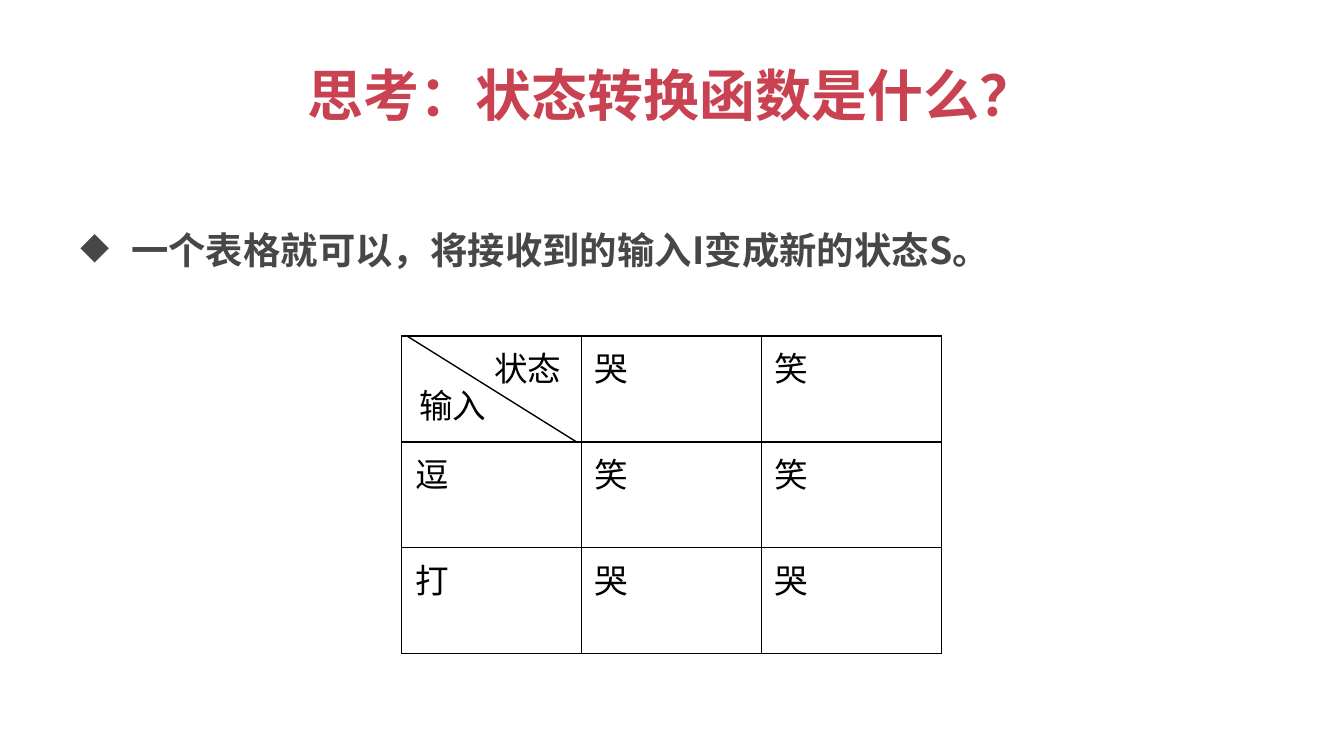
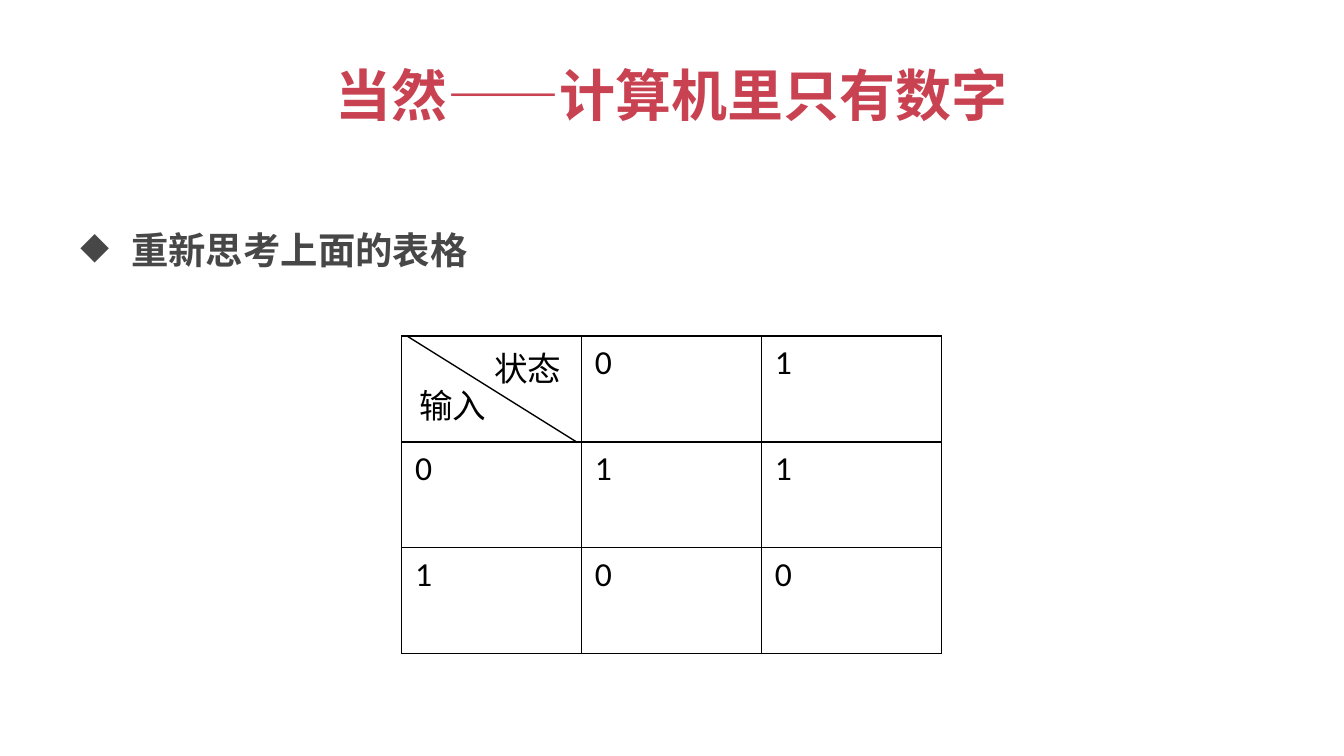
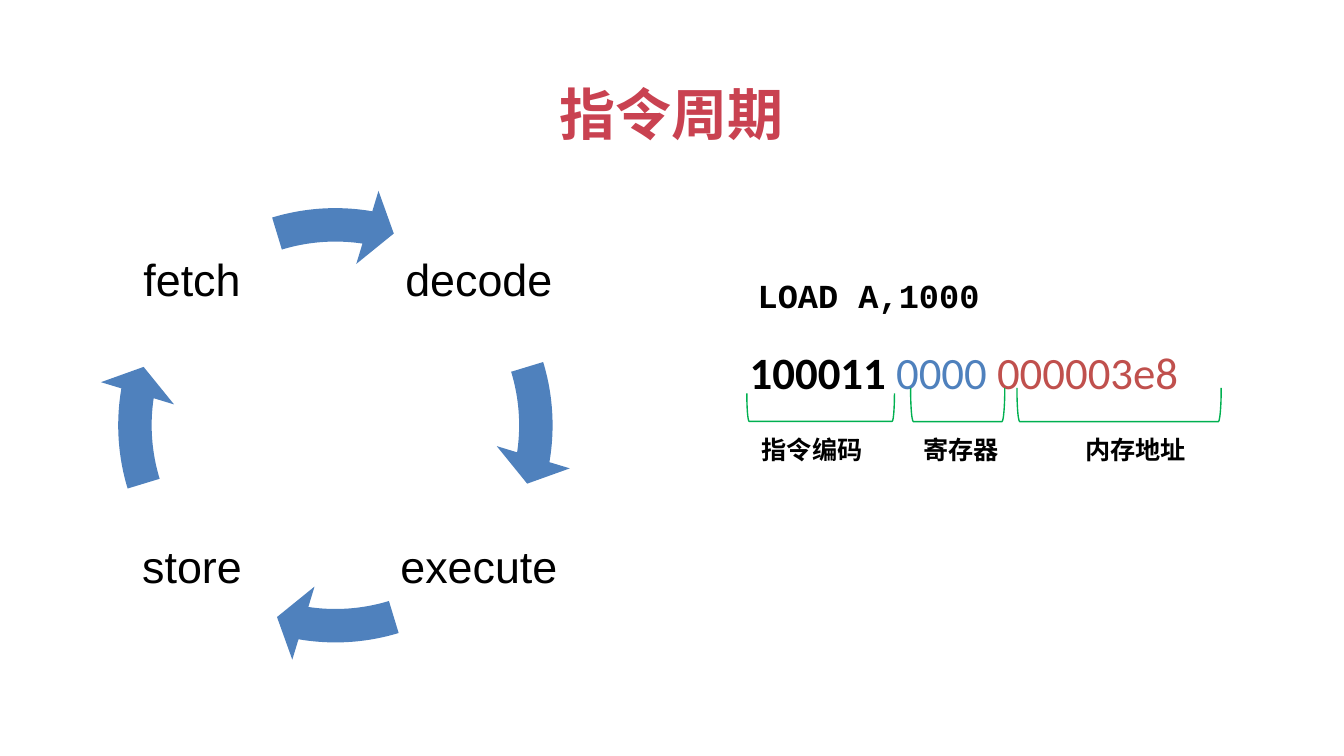
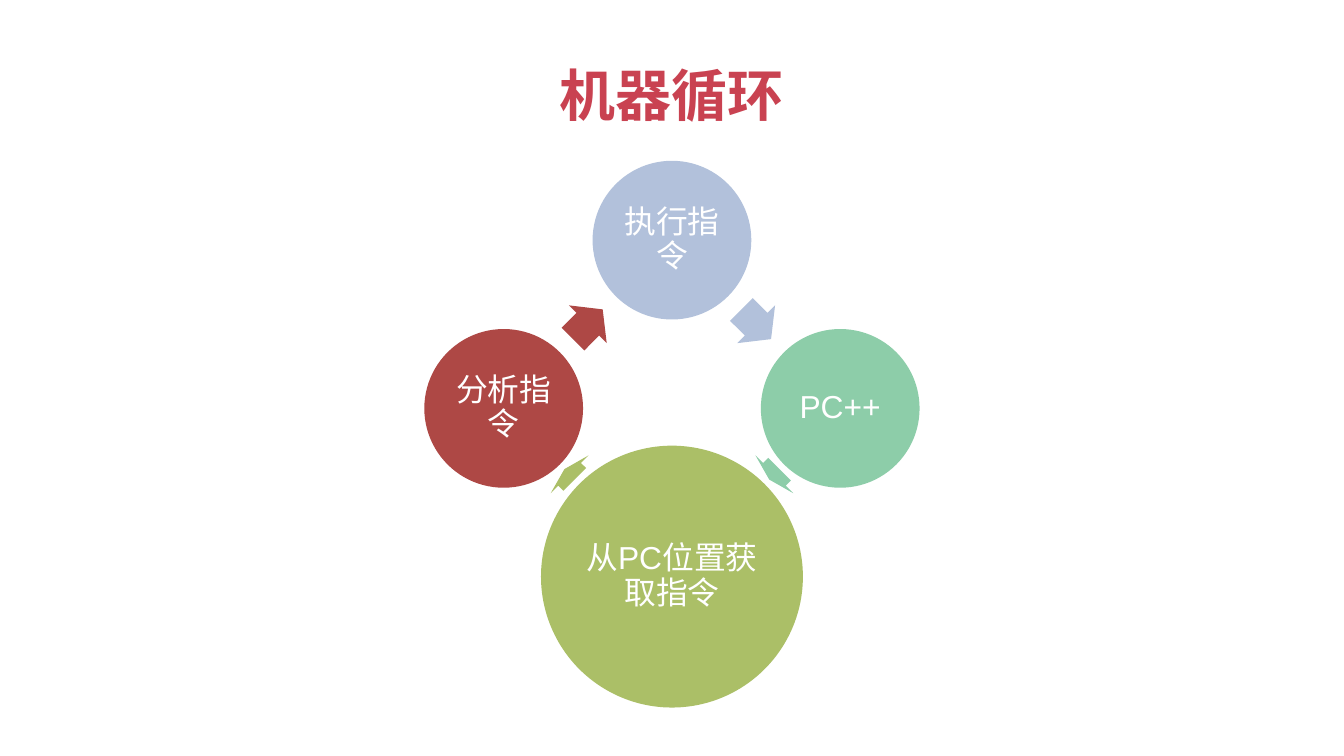
import math

import lxml.etree
import pptx
import pptx.dml.color
import pptx.enum.shapes
import pptx.enum.text
import pptx.oxml
import pptx.oxml.ns
import pptx.util

Cm = pptx.util.Cm
Pt = pptx.util.Pt
SHAPE = pptx.enum.shapes.MSO_SHAPE
ANCHOR = pptx.enum.text.MSO_ANCHOR
ALIGN = pptx.enum.text.PP_ALIGN
qn = pptx.oxml.ns.qn

CJK = "Noto Sans CJK SC"
RED, GREY, BLACK, WHITE = "C94251", "474747", "000000", "FFFFFF"
BLUE, BRICK, GREEN = "4F81BD", "C0504D", "00B050"
TITLE_BOX = (1.27, 0.58, 22.86, 2.39)
BODY_BOX = (1.27, 3.33, 22.86, 9.42)
TABLE_BOX = (7.59, 6.35, 10.2, 6)


def color(value):
    """Turn a hex string into a colour."""
    return pptx.dml.color.RGBColor.from_string(value)


def lengths(box):
    """Turn a box in centimetres into lengths."""
    return [Cm(value) for value in box]


def add_span(para, text, size, font=CJK, ink=BLACK, bold=False):
    """Append one styled run to a paragraph."""
    span = para.add_run()
    span.text = text
    span.font.size = Pt(size)
    span.font.name = font
    span.font.bold = bold
    span.font.color.rgb = color(ink)
    east = lxml.etree.SubElement(span._r.get_or_add_rPr(), qn("a:ea"))
    east.set("typeface", CJK)


def add_text(page, box, spans, wrap=True, grow=False, anchor=ANCHOR.TOP, align=None, inset=None):
    """Add a text box made of styled runs and return its paragraph."""
    frame = page.shapes.add_textbox(*lengths(box)).text_frame
    frame.word_wrap = wrap
    frame.vertical_anchor = anchor
    if grow:
        frame.auto_size = pptx.enum.text.MSO_AUTO_SIZE.SHAPE_TO_FIT_TEXT
    if inset is not None:
        frame.margin_left = frame.margin_right = Cm(inset)
        frame.margin_top = frame.margin_bottom = Cm(inset)
    para = frame.paragraphs[0]
    para.alignment = align
    for span in spans:
        add_span(para, *span)
    return para


def add_label(page, box, text, size, ink, inset):
    """Add a centred diagram label."""
    para = add_text(page, box, [(text, size, "Arial", ink)],
                    anchor=ANCHOR.MIDDLE, align=ALIGN.CENTER, inset=inset)
    para.line_spacing = 0.9
    para.space_after = Pt(0.35 * size)


def add_solid(page, kind, box, fill, adjustments=(), rotation=0):
    """Add a filled preset shape without an outline."""
    shape = page.shapes.add_shape(kind, *lengths(box))
    shape.shadow.inherit = False
    shape.fill.solid()
    shape.fill.fore_color.rgb = color(fill)
    shape.line.fill.background()
    shape.rotation = rotation
    for index, value in enumerate(adjustments):
        shape.adjustments[index] = value


def add_title(page, text, box=TITLE_BOX):
    """Add the slide title."""
    add_text(page, box, [(text, 30, CJK, RED, True)], anchor=ANCHOR.MIDDLE, align=ALIGN.CENTER)


def add_bullet(page, box, text):
    """Add the body text with its diamond bullet."""
    para = add_text(page, box, [(text, 20, CJK, GREY, True)])
    para.line_spacing = 2.0
    para.space_before = Pt(4)
    props = para._p.get_or_add_pPr()
    props.set("marL", str(Cm(0.96)))
    props.set("indent", str(-Cm(0.96)))
    lxml.etree.SubElement(props, qn("a:buChar")).set("char", "◆")


def add_borders(cell):
    """Draw a thin black border on all sides of a cell."""
    props = cell._tc.get_or_add_tcPr()
    for index, side in enumerate(("lnL", "lnR", "lnT", "lnB")):
        props.insert(index, pptx.oxml.parse_xml(
            f'<a:{side} xmlns:a="http://schemas.openxmlformats.org/drawingml/2006/main" '
            f'w="{Pt(1)}"><a:solidFill><a:srgbClr val="{BLACK}"/></a:solidFill></a:{side}>'))


def add_state_table(page, box, rows):
    """Add the transition table with its split corner cell."""
    left, top, width, height = box
    count = len(rows)
    table = page.shapes.add_table(count, count, *lengths(box)).table
    table.first_row = table.horz_banding = False
    for index in range(count):
        table.columns[index].width = Cm(width / count)
        table.rows[index].height = Cm(height / count)
    for row, values in enumerate(rows):
        for column, value in enumerate(values):
            cell = table.cell(row, column)
            cell.fill.background()
            add_borders(cell)
            if value:
                add_span(cell.text_frame.paragraphs[0], value, 18, "Calibri")
    line = page.shapes.add_connector(
        pptx.enum.shapes.MSO_CONNECTOR.STRAIGHT,
        *lengths((left + 0.1, top, left + 3.3, top + height / count)))
    line.line.color.rgb = color(BLACK)
    line.line.width = Pt(0.75)
    lxml.etree.SubElement(line._element.spPr, qn("a:effectLst"))
    for text, x, y in (("输入", 0.08, 0.81), ("状态", 1.5, 0.1)):
        add_text(page, (left + x, top + y, 1.8, 1.02), [(text, 18)], wrap=False, grow=True)


def add_stage_cycle(page, box):
    """Add the four stages joined by circular arrows."""
    left, top, width, height = box
    side, margin = 3.2, 0.2
    stages = (("decode", 1, 0), ("execute", 1, 1), ("store", 0, 1), ("fetch", 0, 0))
    for index, (text, column, row) in enumerate(stages):
        x = left + margin + column * (width - side - 2 * margin)
        y = top + margin + row * (height - side - 2 * margin)
        add_label(page, (x, y, side, side), text, 24, BLACK, 0.08)
        turn = 54 * index
        add_solid(page, SHAPE.CIRCULAR_ARROW, box, BLUE,
                  (0.07, 4.65, 5.51 + turn, (205.84 + turn) % 216, 0.08))


def add_instruction(page, box):
    """Add the instruction, its encoding and the bracketed fields."""
    left, top, width, height = box
    add_text(page, (left + 0.15, top, 6.78, 1.02),
             [("LOAD A,1000", 18, "Courier New", BLACK, True)], grow=True)
    add_text(page, (left, top + 1.32, width, 1.27),
             [("100011 ", 24, "Calibri", BLACK, True),
              ("0000 ", 24, "Calibri", BLUE),
              ("000003e8", 24, "Calibri", BRICK)], wrap=False, grow=True)
    fields = (("指令编码", 0.23, 2.44, 1.59, 2.62, 0.53, 2.79),
              ("寄存器", 3.28, 1.96, 4.18, 2.57, 0.64, 1.78),
              ("内存地址", 6.35, 2.44, 7.23, 2.57, 0.64, 3.86))
    for text, x, label_width, center_x, center_y, depth, reach in fields:
        add_text(page, (left + x, top + height - 0.84, label_width, 0.84),
                 [(text, 13.5, "Calibri", BLACK, True)], wrap=False, grow=True)
        bracket = page.shapes.add_shape(SHAPE.LEFT_BRACKET, *lengths(
            (left + center_x - depth / 2, top + center_y - reach / 2, depth, reach)))
        bracket.rotation = 270
        bracket.shadow.inherit = False
        bracket.fill.background()
        bracket.line.color.rgb = color(GREEN)
        bracket.line.width = Pt(0.75)


def add_machine_loop(page, box):
    """Add circles on a ring with an arrow centred in each gap."""
    left, top, width, height = box
    ring = width / 2
    middle_x, middle_y = left + ring, top + height / 2
    nodes = (("执行指令", 3, "B2C1DB", 0, -1), ("PC++", 3, "8DCDA9", 1, 0),
             ("从PC位置获取指令", 4.95, "ABBF67", 0, 1), ("分析指令", 3, "AE4845", -1, 0))
    for index, (text, size, fill, across, down) in enumerate(nodes):
        x, y = middle_x + ring * across, middle_y + ring * down
        add_solid(page, SHAPE.OVAL, (x - size / 2, y - size / 2, size, size), fill)
        side = size * math.sqrt(0.5)
        add_label(page, (x - side / 2, y - side / 2, side, side), text, 17, WHITE, 0.05)
        following = nodes[(index + 1) % len(nodes)]
        distance = ring * math.sqrt(2)
        gap = distance - (size + following[1]) / 2
        part = (size + gap) / 2 / distance
        arrow_x = x + part * ring * (following[3] - across)
        arrow_y = y + part * ring * (following[4] - down)
        length, thickness = 0.53 * gap, 1.01
        add_solid(page, SHAPE.RIGHT_ARROW,
                  (arrow_x - length / 2, arrow_y - thickness / 2, length, thickness),
                  fill, (0.6, 0.5), 45 + 90 * index)


def add_table_page(page, title, bullet, rows):
    """Fill a slide with a title, a bullet and a transition table."""
    add_title(page, title)
    add_bullet(page, BODY_BOX, bullet)
    add_state_table(page, TABLE_BOX, rows)


def main():
    """Build and save the deck."""
    deck = pptx.Presentation()
    deck.slide_width, deck.slide_height = Cm(25.4), Cm(14.29)
    pages = [deck.slides.add_slide(deck.slide_layouts[6]) for _ in range(4)]
    add_table_page(pages[0], "思考：状态转换函数是什么？",
                   "一个表格就可以，将接收到的输入I变成新的状态S。",
                   (("", "哭", "笑"), ("逗", "笑", "笑"), ("打", "哭", "哭")))
    add_table_page(pages[1], "当然——计算机里只有数字", "重新思考上面的表格",
                   (("", "0", "1"), ("0", "1", "1"), ("1", "0", "0")))
    add_title(pages[2], "指令周期", (1.75, 0.76, 21.9, 2.77))
    add_stage_cycle(pages[2], (1.83, 3.53, 9.02, 9.02))
    add_instruction(pages[2], (13.92, 5.08, 9.04, 3.84))
    add_title(pages[3], "机器循环")
    add_machine_loop(pages[3], (9.52, 4.54, 6.36, 6.36))
    deck.save("out.pptx")


if __name__ == "__main__":
    main()
